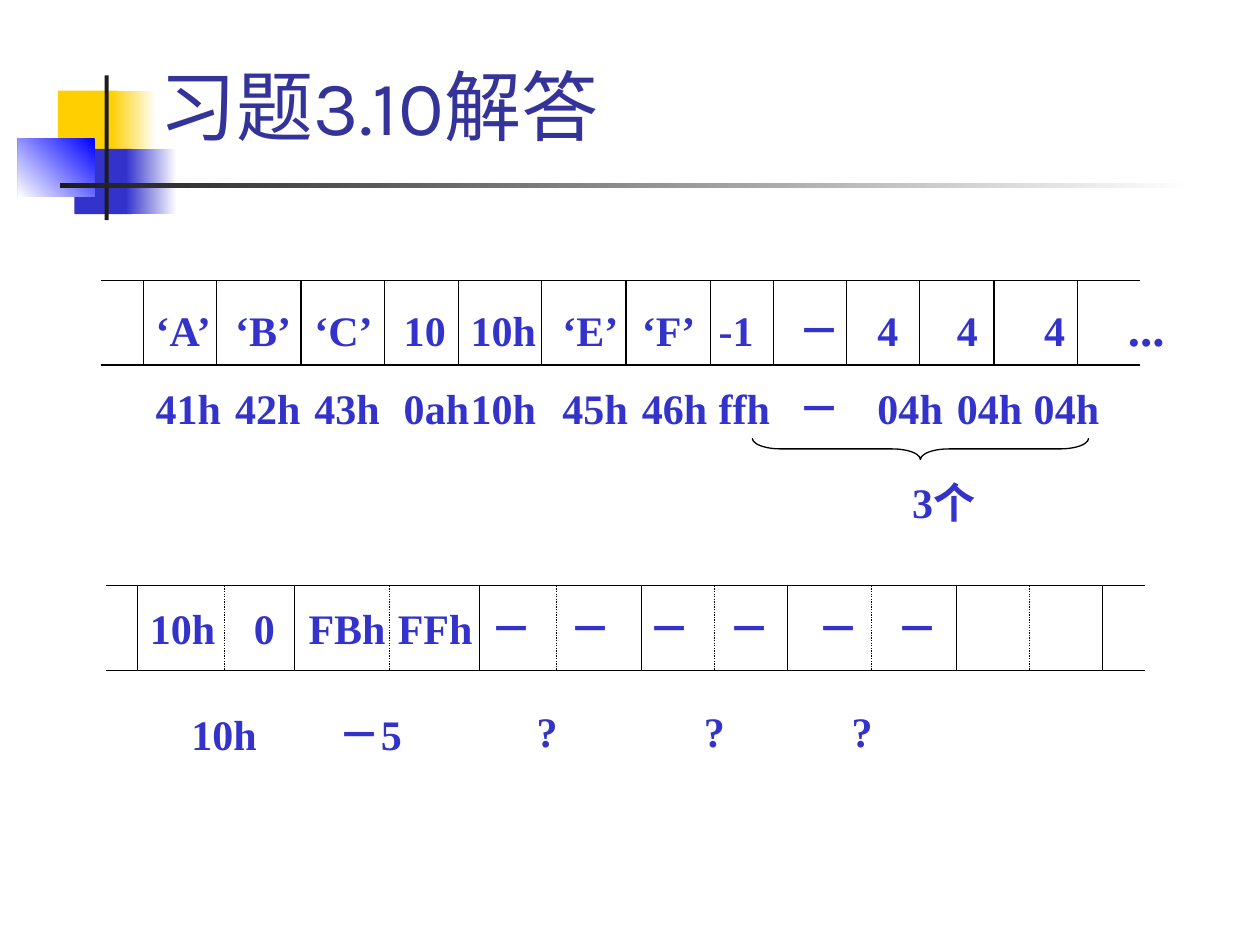
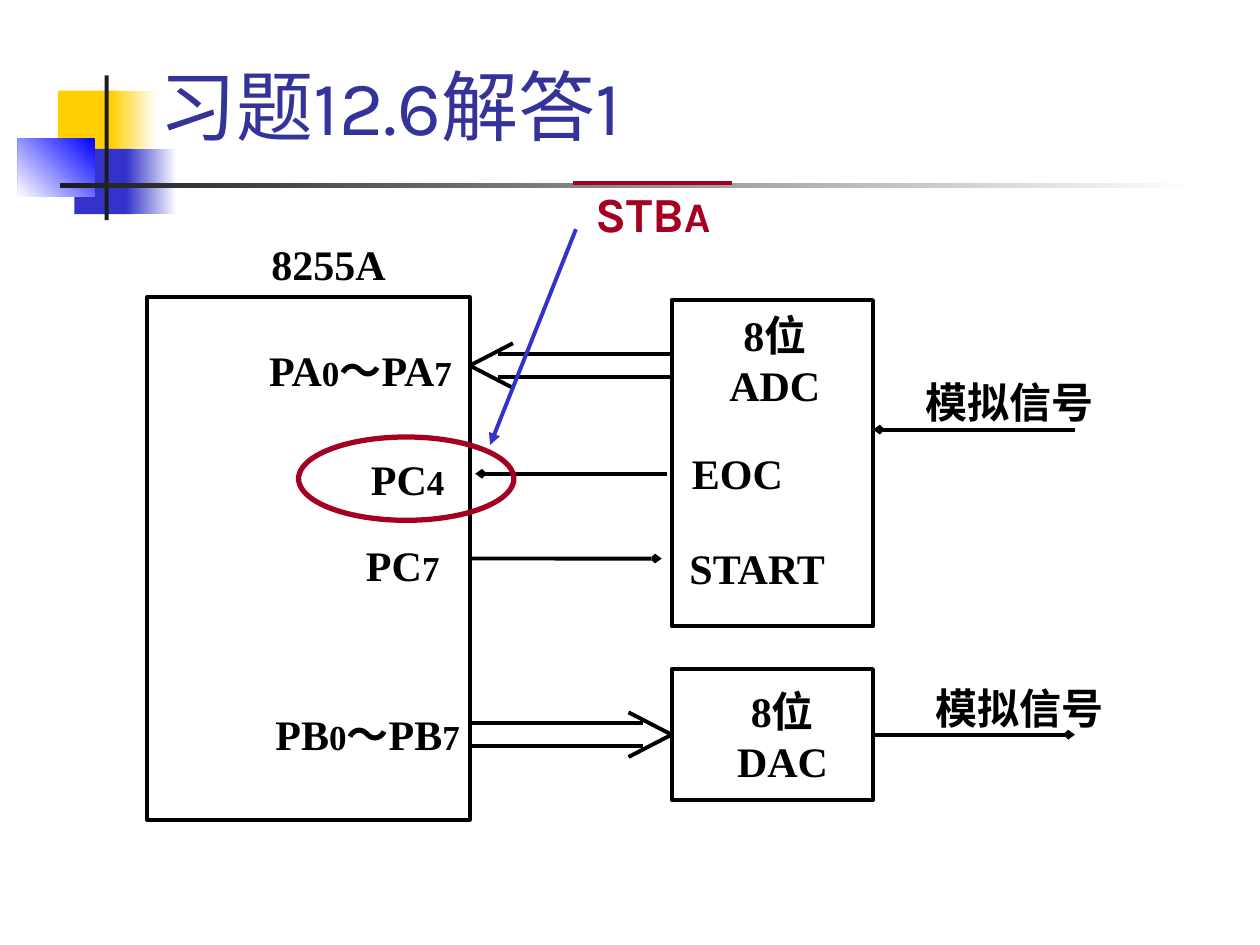
from lxml import etree
from pptx import Presentation
from pptx.dml.color import RGBColor
from pptx.enum.dml import MSO_LINE
from pptx.enum.shapes import MSO_CONNECTOR, MSO_SHAPE
from pptx.enum.text import MSO_ANCHOR, PP_ALIGN
from pptx.oxml.ns import qn
from pptx.util import Cm, Pt

RECT, OVAL, BRACE = MSO_SHAPE.RECTANGLE, MSO_SHAPE.OVAL, MSO_SHAPE.RIGHT_BRACE
LINE, DOT = MSO_CONNECTOR.STRAIGHT, MSO_LINE.ROUND_DOT
LEFT, MID, RIGHT = PP_ALIGN.LEFT, PP_ALIGN.CENTER, PP_ALIGN.RIGHT
TOP, BASE = MSO_ANCHOR.TOP, MSO_ANCHOR.BOTTOM

BLACK, DARK, WHITE = "000000", "1C1C1C", "FFFFFF"
BLUE, NAVY, PURE = "3333CC", "333399", "0000FF"
GOLD, RED = "FFCF01", "A50021"
SERIF, SANS = "Times New Roman", "Karla"
WIDE, THIN = (0.25, 0.13), (0.03, 0.03)  # text insets


def rgb(code):
    return RGBColor.from_string(code)


# Basic parts
def shape(slide, kind, x, y, w, h, fill=None, edge=None, width=2.25, turn=0):
    """Fill is a colour, or (first, last, angle) for a gradient."""
    part = slide.shapes.add_shape(kind, Cm(x), Cm(y), Cm(w), Cm(h))
    part.shadow.inherit = False
    if fill is None:
        part.fill.background()
    elif isinstance(fill, str):
        part.fill.solid()
        part.fill.fore_color.rgb = rgb(fill)
    else:
        part.fill.gradient()
        part.fill.gradient_angle = fill[2]
        for stop, code in zip(part.fill.gradient_stops, fill):
            stop.color.rgb = rgb(code)
    if edge:
        part.line.color.rgb = rgb(edge)
        part.line.width = Pt(width)
    else:
        part.line.fill.background()
    part.rotation = turn
    return part


def line(slide, x1, y1, x2, y2, color=BLACK, width=2.25, head=None, size="sm", dash=None):
    part = slide.shapes.add_connector(LINE, Cm(x1), Cm(y1), Cm(x2), Cm(y2))
    part.line.color.rgb = rgb(color)
    part.line.width = Pt(width)
    if dash:
        part.line.dash_style = dash
    props = part.line._get_or_add_ln()
    if head:
        etree.SubElement(props, qn("a:tailEnd"), type=head, w=size, len=size)
    etree.SubElement(props.getparent(), qn("a:effectLst"))
    return part


def text(slide, x, y, w, h, rows, color=BLACK, font=SERIF, bold=True, align=LEFT,
         pad=THIN, gap=0, tabs=(), anchor=TOP, wrap=True):
    """Each row is a list of (words, size) runs."""
    frame = slide.shapes.add_textbox(Cm(x), Cm(y), Cm(w), Cm(h)).text_frame
    frame.word_wrap = wrap
    frame.vertical_anchor = anchor
    frame.margin_left = frame.margin_right = Cm(pad[0])
    frame.margin_top = frame.margin_bottom = Cm(pad[1])
    for i, row in enumerate(rows):
        para = frame.add_paragraph() if i else frame.paragraphs[0]
        para.alignment = align
        if i and gap:
            para.space_before = Pt(gap)
        if tabs:
            stops = etree.SubElement(para._p.get_or_add_pPr(), qn("a:tabLst"))
            for tab in tabs:
                etree.SubElement(stops, qn("a:tab"), pos=str(Cm(tab)), algn="l")
        for words, size in row:
            run = para.add_run()
            run.text = words
            run.font.size = Pt(size)
            run.font.name = font
            run.font.bold = bold
            run.font.color.rgb = rgb(color)


# Shared corner blocks, rules and title
def base(deck, title):
    slide = deck.slides.add_slide(deck.slide_layouts[6])
    for x, y, w, h, fill in (
        (1.17, 1.83, 1.22, 1.32, GOLD),
        (2.24, 1.83, 0.91, 1.32, (WHITE, GOLD, 180)),
        (1.5, 3, 1.17, 1.32, BLUE),
        (2.54, 3, 1.02, 1.32, (WHITE, BLUE, 180)),
        (0.36, 2.79, 1.55, 1.17, (PURE, WHITE, 225)),
        (2.11, 1.52, 0.08, 2.92, DARK),
        (1.22, 3.7, 22.86, 0.09, (WHITE, DARK, 180)),
    ):
        shape(slide, RECT, x, y, w, h, fill)
    text(slide, 2.97, 0.84, 21.64, 2.34, [[(title, 44)]], NAVY, SANS, False,
         pad=WIDE, anchor=BASE)
    return slide


# Memory strip: two rails, cell walls and tabbed values
def strip(slide, x, y, walls, rows, tabs, every=1):
    """Only one wall in `every` is solid; the others are dotted."""
    w, h = 20.96, 1.7
    for rail in (y, y + h):
        line(slide, x, rail, x + w, rail, width=0.75)
    for i, wall in enumerate(walls):
        line(slide, x + wall, y, x + wall, y + h, width=0.75,
             dash=DOT if i % every else None)
    text(slide, x + walls[0], y + 0.2, 21.59, 1.27 * len(rows), rows, BLUE,
         pad=WIDE, gap=15, tabs=tabs)


def memory(deck):
    slide = base(deck, "习题3.10解答")
    # Bytes
    chars = "‘A’ ‘B’ ‘C’ 10 10h ‘E’ ‘F’ -1 － 4 4".split()
    codes = "41h 42h 43h 0ah 10h 45h 46h ffh － 04h 04h 04h".split()
    strip(slide, 2.03, 5.66,
          (0.86, 2.34, 4.04, 5.72, 7.21, 8.89, 10.59, 12.29, 13.56, 15.04,
           16.51, 18.01, 19.69),
          [[("\t".join(chars) + "\t 4\t", 24), ("...", 28)],
           [("\t".join(codes), 24)]],
          (1.6, 3.2, 5, 6.35, 8.2, 9.8, 11.35, 12.95, 14.55, 16.15, 17.7, 19.6))
    brace = shape(slide, BRACE, 18.34, 5.66, 0.43, 6.78, edge=BLACK, width=0.75, turn=90)
    brace.adjustments[0] = 1.33
    # Words
    strip(slide, 2.13, 11.81,
          (0.64, 2.39, 3.81, 5.72, 7.54, 9.09, 10.8, 12.27, 13.74, 15.44,
           17.15, 18.62, 20.09),
          [[("\t".join("10h 0 FBh FFh － － － － － －".split()), 24)]],
          (2.1, 3.2, 5, 6.86, 8.46, 10.06, 11.66, 13.46, 15.06), every=2)
    # Labels under the strips
    for x, y, words in ((18.14, 9.47, "3个"), (3.61, 14.15, "10h"), (6.58, 14.15, "－5"),
                        (10.57, 14.1, "?"), (13.94, 14.1, "?"), (16.92, 14.1, "?")):
        text(slide, x, y, 2.54, 1.27, [[(words, 24)]], BLUE, pad=WIDE)


# Open double arrow with its tip at x, y; way is 1 if the tail lies to the right
def bus(slide, x, y, tail, way, box=None):
    for side in (-1, 1):
        rail = y + 0.23 * side
        line(slide, tail, rail, x + 0.57 * way, rail)
        wing = line(slide, x, y, x + 0.87 * way, y + 0.45 * side)
        if box:
            wing.begin_connect(box, 1)


# Pin name with small digits
def pin(slide, x, y, w, *parts):
    runs = [(part, 20 if part.isdigit() else 24) for part in parts]
    text(slide, x, y, w, 1.2, [runs], align=RIGHT)


def wiring(deck):
    slide = base(deck, "习题12.6解答1")
    # Chips
    chip = shape(slide, RECT, 2.97, 5.99, 6.5, 10.54, edge=BLACK)
    shape(slide, RECT, 13.54, 6.05, 4.06, 6.58, edge=BLACK)
    dac = shape(slide, RECT, 13.54, 13.49, 4.06, 2.64, edge=BLACK)
    # Buses and signals
    bus(slide, 9.47, 7.37, 13.54, 1)
    bus(slide, 13.54, 14.81, 9.47, -1, dac)
    line(slide, 13.44, 9.55, 9.58, 9.55, head="arrow")
    line(slide, 21.67, 8.66, 17.6, 8.66, head="arrow")
    start = line(slide, 9.47, 11.26, 13.34, 11.26, head="arrow")
    start.begin_connect(chip, 3)
    out = line(slide, 17.6, 14.81, 21.67, 14.81, head="arrow")
    out.begin_connect(dac, 3)
    # Pins
    pin(slide, 3.45, 6.91, 5.69, "PA", "0", "～PA", "7")
    pin(slide, 3.61, 14.25, 5.69, "PB", "0", "～PB", "7")
    pin(slide, 5.23, 9.12, 3.76, "PC", "4")
    pin(slide, 5.97, 10.85, 2.92, "PC", "7")
    # Names
    for x, y, w, words, align in (
        (13.18, 6.2, 4.88, "8位 ADC", MID),
        (12.93, 13.79, 5.69, "8位 DAC", MID),
        (3.78, 4.78, 5.69, "8255A", MID),
        (17.5, 7.57, 5.69, "模拟信号", MID),
        (17.7, 13.72, 5.69, "模拟信号", MID),
        (13.92, 8.99, 3.02, "EOC", LEFT),
        (13.87, 10.9, 4.32, "START", LEFT),
    ):
        text(slide, x, y, w, 1.4, [[(word, 24)] for word in words.split()], align=align)
    # Strobe mark
    shape(slide, OVAL, 6.02, 8.81, 4.34, 1.68, edge=RED, width=3)
    text(slide, 11.73, 3.56, 2.87, 1.45, [[("STB", 28), ("A", 24)]], RED, SANS,
         align=MID, pad=WIDE, wrap=False)
    line(slide, 11.56, 3.68, 14.76, 3.68, RED)
    line(slide, 11.61, 4.62, 9.88, 8.97, BLUE, head="triangle", size="med")


def main():
    deck = Presentation()
    deck.slide_width, deck.slide_height = Cm(25.4), Cm(19.05)
    memory(deck)
    wiring(deck)
    deck.save("out.pptx")


if __name__ == "__main__":
    main()
